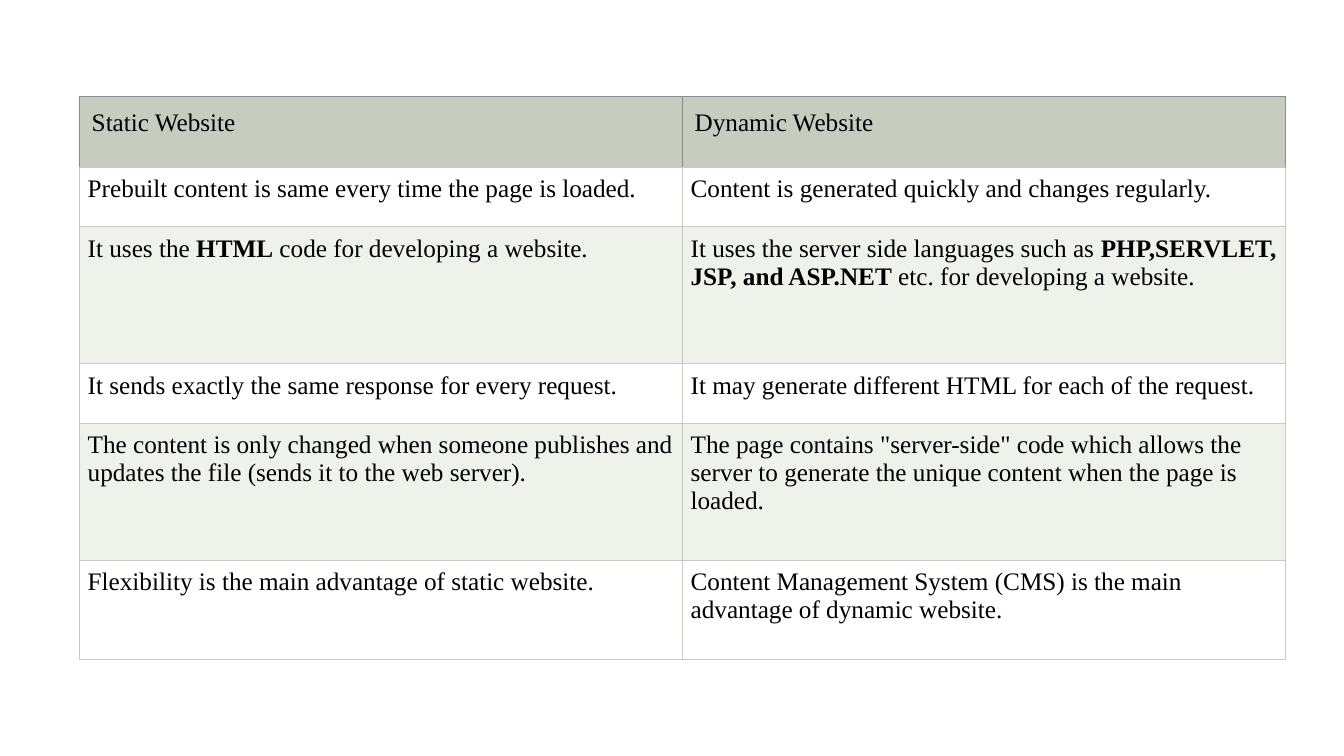
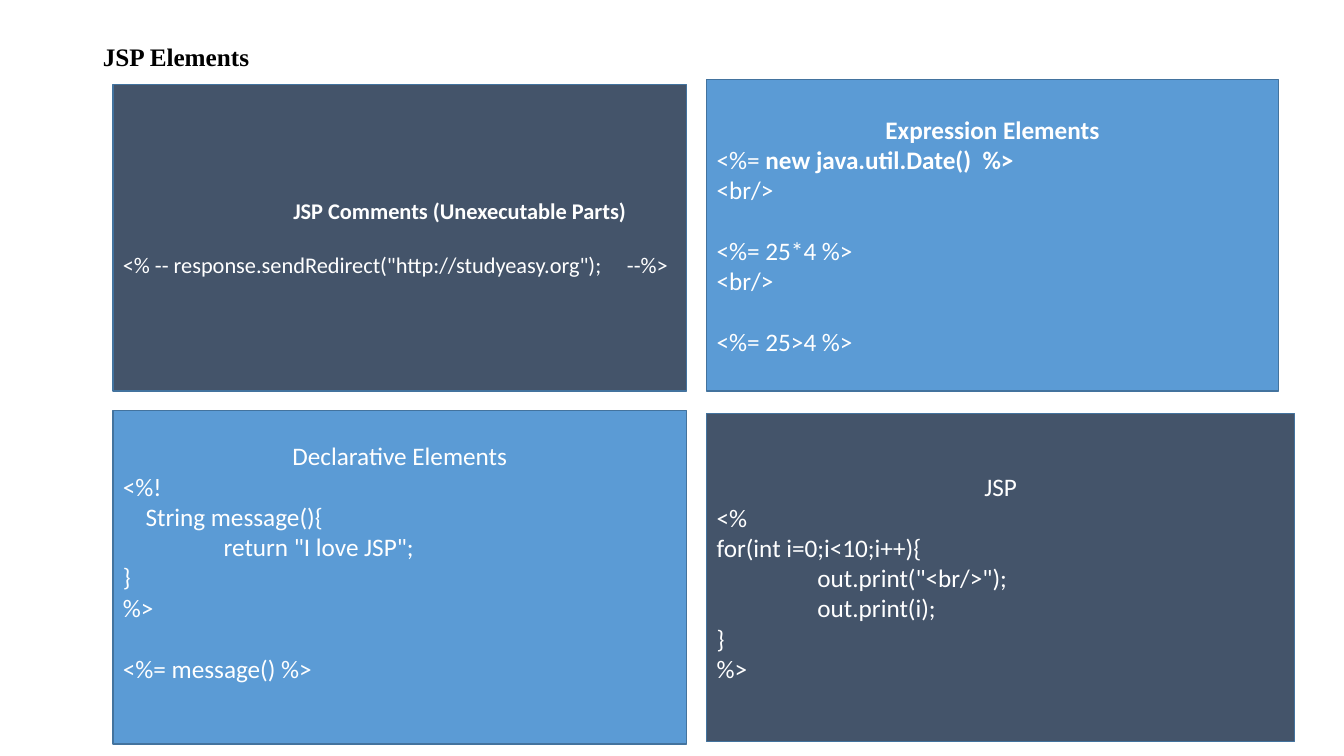
from dataclasses import dataclass

from lxml.etree import SubElement
from pptx import Presentation
from pptx.dml.color import RGBColor
from pptx.enum.shapes import MSO_SHAPE
from pptx.enum.text import MSO_ANCHOR, MSO_AUTO_SIZE, PP_ALIGN
from pptx.oxml.ns import qn
from pptx.util import Inches, Pt


@dataclass(frozen=True)
class Theme:
    serif: str = "Times New Roman"
    sans: str = "Calibri"
    black: str = "000000"
    white: str = "FFFFFF"
    slate: str = "44546A"
    blue: str = "5B9BD5"
    edge: str = "43739E"
    head: str = "C7CCBE"
    rule: str = "80938A"
    band: str = "EFF1EB"
    text: int = 18
    small: int = 16
    line: float = 1.22


def color(code):
    return RGBColor.from_string(code)


class Deck:
    def __init__(self, theme):
        self.theme = theme
        self.prs = Presentation()
        self.prs.slide_width = Inches(13.33)
        self.prs.slide_height = Inches(7.5)
        self.slide = None

    def blank(self):
        self.slide = self.prs.slides.add_slide(self.prs.slide_layouts[6])

    def titled(self, text):
        self.slide = self.prs.slides.add_slide(self.prs.slide_layouts[5])
        title = self.slide.shapes.title
        title.left, title.top = Inches(0.92), Inches(0.39)
        title.width, title.height = Inches(11.5), Inches(0.4)
        frame = title.text_frame
        frame.auto_size = MSO_AUTO_SIZE.NONE
        frame.vertical_anchor = MSO_ANCHOR.TOP
        para = frame.paragraphs[0]
        para.alignment = PP_ALIGN.LEFT
        para.line_spacing = 0.9
        self.fill_text(para, f"**{text}**", self.theme.serif, self.theme.black)

    def fill_text(self, para, text, face, ink, size=None):
        """Fill a paragraph; parts between double asterisks are bold."""
        for i, part in enumerate(text.split("**")):
            if part:
                run = para.add_run()
                run.text = part
                font = run.font
                font.name = face
                font.size = Pt(size or self.theme.text)
                font.bold = i % 2 == 1
                font.color.rgb = color(ink)

    def border(self, cell, tones):
        """Draw the left, right, top and bottom lines of a cell."""
        props = cell._tc.get_or_add_tcPr()
        for side, tone in zip("LRTB", tones):
            line = SubElement(props, qn(f"a:ln{side}"), w=str(Pt(0.75)))
            fill = SubElement(line, qn("a:solidFill"))
            SubElement(fill, qn("a:srgbClr"), val=tone)

    def table(self, rows, left, top, width, heights):
        look = self.theme
        count = len(rows[0])
        grid = self.slide.shapes.add_table(
            len(rows), count, Inches(left), Inches(top),
            Inches(width), Inches(sum(heights))).table
        grid.first_row = grid.horz_banding = False
        for col in grid.columns:
            col.width = Inches(width / count)
        for r, (texts, high) in enumerate(zip(rows, heights)):
            grid.rows[r].height = Inches(high)
            tone = look.rule if r == 0 else look.head
            fill = look.head if r == 0 else (look.band, look.white)[r % 2]
            pad = Inches(0.12 if r == 0 else 0.08)
            for c, text in enumerate(texts):
                cell = grid.cell(r, c)
                self.border(cell, (tone, tone, tone, look.head))
                cell.fill.solid()
                cell.fill.fore_color.rgb = color(fill)
                cell.margin_left = cell.margin_right = pad
                cell.margin_top = cell.margin_bottom = pad
                para = cell.text_frame.paragraphs[0]
                self.fill_text(para, text, look.serif, look.black)

    def panel(self, place, fill, head, code, size=None, indent=None, foot=0.05):
        """Draw a code box; an empty code line becomes space before the next."""
        look = self.theme
        size = size or look.text
        box = self.slide.shapes.add_shape(
            MSO_SHAPE.RECTANGLE, *(Inches(n) for n in place))
        box.shadow.inherit = False
        box.fill.solid()
        box.fill.fore_color.rgb = color(fill)
        box.line.color.rgb = color(look.edge)
        box.line.width = Pt(1)
        frame = box.text_frame
        frame.word_wrap = True
        frame.vertical_anchor = MSO_ANCHOR.MIDDLE
        frame.margin_bottom = Inches(foot)
        para = frame.paragraphs[0]
        para.alignment = PP_ALIGN.CENTER
        if indent:
            para.alignment = PP_ALIGN.LEFT
            para._p.get_or_add_pPr().set("marL", str(Inches(indent)))
        self.fill_text(para, head, look.sans, look.white, size)
        gap = 0
        for text in code:
            if not text:
                gap += size * look.line
                continue
            para = frame.add_paragraph()
            para.alignment = PP_ALIGN.LEFT
            para.space_before = Pt(round(gap, 1))
            gap = 0
            if "\t" in text:
                self.tabs(para, (1, 5))
            self.fill_text(para, text, look.sans, look.white, size)

    def tabs(self, para, stops):
        stop_list = SubElement(para._p.get_or_add_pPr(), qn("a:tabLst"))
        for stop in stops:
            SubElement(stop_list, qn("a:tab"), pos=str(Inches(stop)), algn="l")


SITES = [
    ("Static Website", "Dynamic Website"),
    ("Prebuilt content is same every time the page is loaded.",
     "Content is generated quickly and changes regularly."),
    ("It uses the **HTML** code for developing a website.",
     "It uses the server side languages such as "
     "**PHP,SERVLET, JSP, and ASP.NET** etc. for developing a website."),
    ("It sends exactly the same response for every request.",
     "It may generate different HTML for each of the request."),
    ("The content is only changed when someone publishes and updates "
     "the file (sends it to the web server).",
     'The page contains "server-side" code which allows the server to '
     "generate the unique content when the page is loaded."),
    ("Flexibility is the main advantage of static website.",
     "Content Management System (CMS) is the main advantage of "
     "dynamic website."),
]
NOTE = ["", '<% -- response.sendRedirect("http://studyeasy.org");\t--%>']
VALUES = ["<%= **new java.util.Date()  %>**", "<br/>", "",
          "<%= 25*4 %>", "<br/>", "", "<%= 25>4 %>"]
METHOD = ["<%!", "    String message(){", '\treturn "I love JSP";', "}", "%>",
          "", "<%= message() %>"]
LOOP = ["<%", "for(int i=0;i<10;i++){", '\tout.print("<br/>");',
        "\tout.print(i);", "}", "%>"]


def main():
    look = Theme()
    deck = Deck(look)

    deck.blank()
    deck.table(SITES, 0.79, 0.96, 11.96, (0.7, 0.59, 1.36, 0.59, 1.36, 0.98))

    deck.titled("JSP Elements")
    deck.panel((1.12, 0.84, 5.69, 3.04), look.slate,
               "**JSP Comments (Unexecutable Parts)**", NOTE,
               size=look.small, indent=1.69)
    deck.panel((7.01, 0.79, 5.67, 3.09), look.blue,
               "**Expression Elements**", VALUES)
    deck.panel((1.12, 4.07, 5.69, 3.31), look.blue,
               "Declarative Elements", METHOD, foot=0.35)
    deck.panel((7.01, 4.1, 5.83, 3.26), look.slate, "JSP", LOOP)

    deck.prs.save("out.pptx")


if __name__ == "__main__":
    main()
